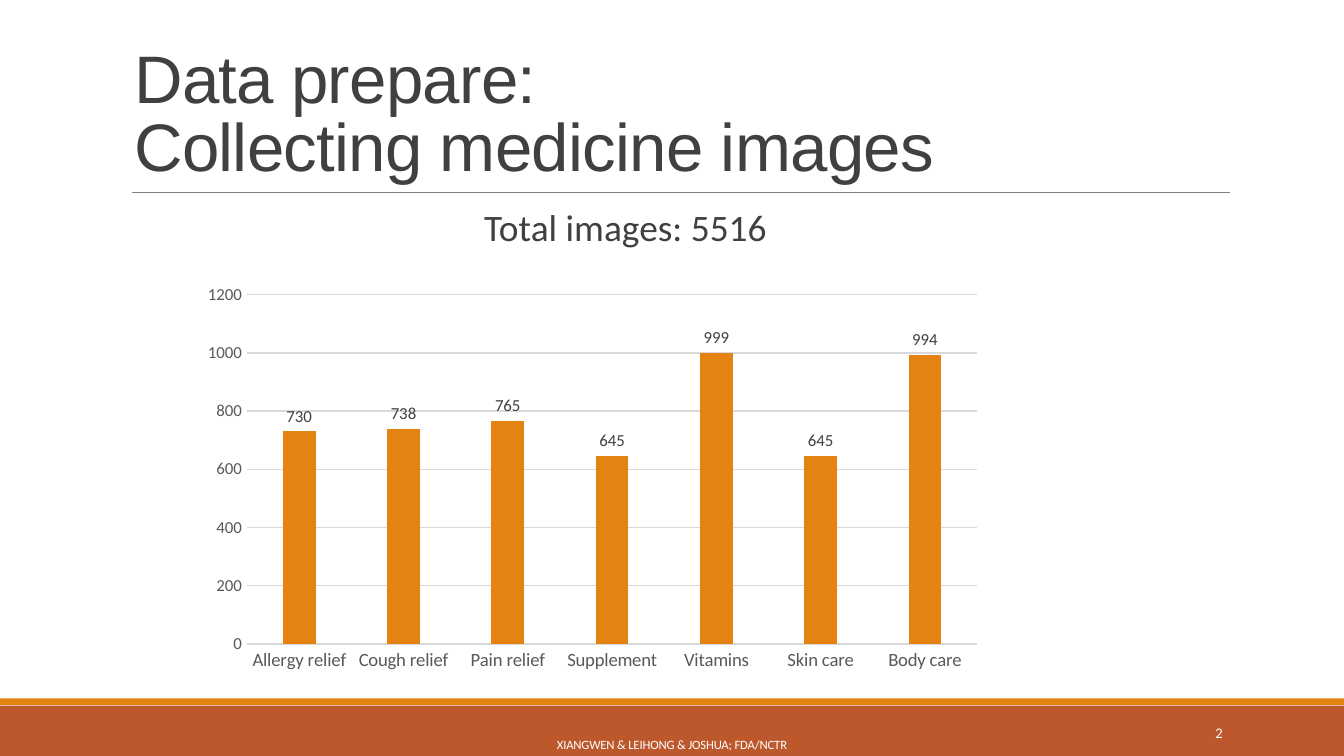
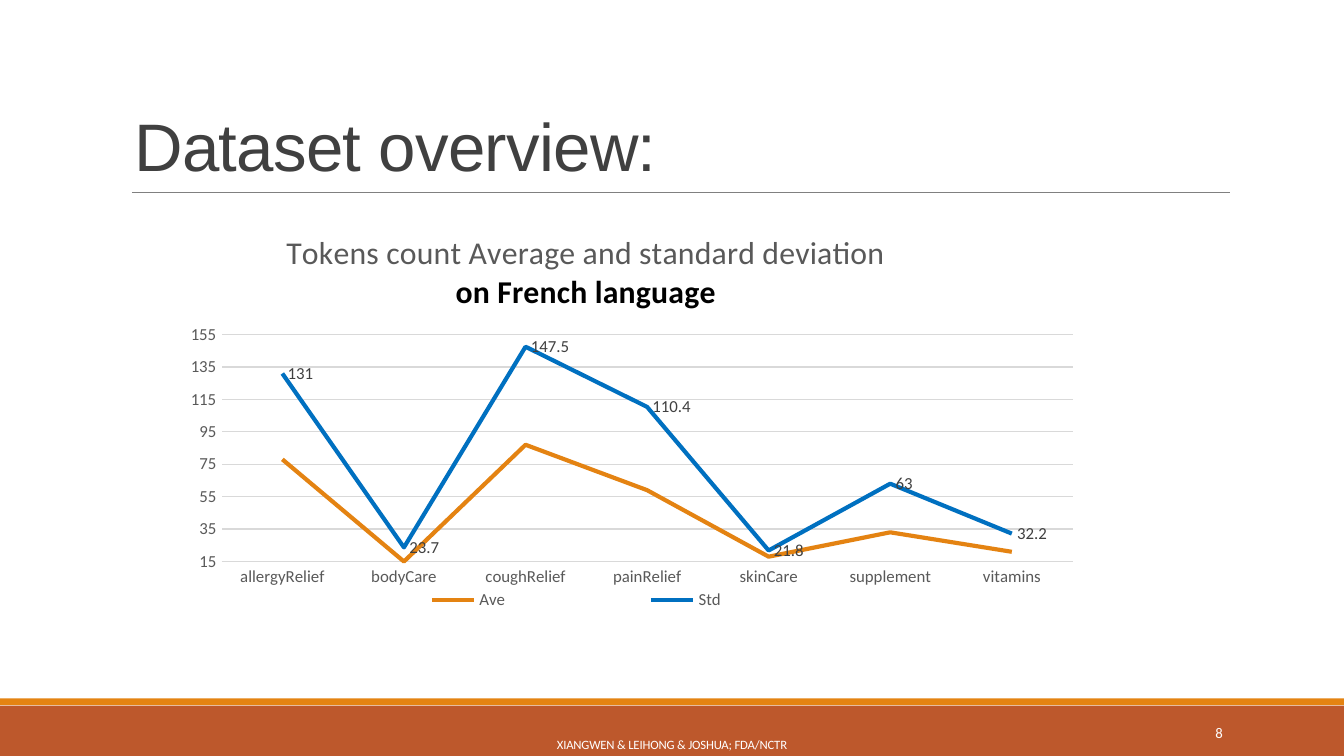
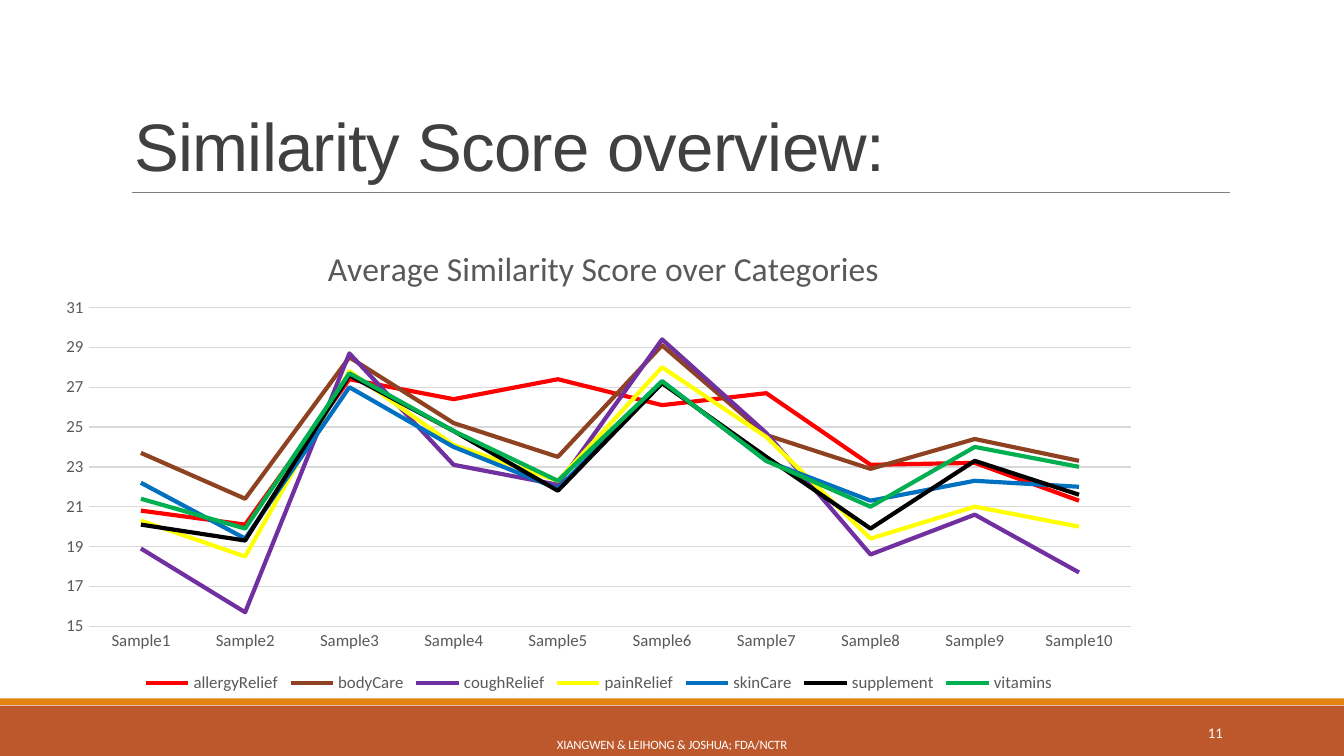
"""Build three slides on the medicine image dataset."""
from dataclasses import dataclass
from typing import NamedTuple, Optional

from pptx import Presentation
from pptx import util as u
from pptx.chart import data as chart_data
from pptx.dml import color
from pptx.enum import chart as charts, shapes, text
from pptx.oxml import parse_xml
from pptx.oxml import ns


class Frame(NamedTuple):
    """A place: centimetres on a slide, fractions inside a chart."""
    left: float
    top: float
    width: float = 0
    height: float = 0

    def lengths(self) -> list:
        return [u.Cm(value) for value in self]


@dataclass(frozen=True)
class Theme:
    """Colours, fonts and type sizes of the deck."""
    band: str = "BD582C"
    accent: str = "E48312"
    blue: str = "0070C0"
    rule: str = "808080"
    grid: str = "D9D9D9"
    dark: str = "404040"
    muted: str = "595959"
    black: str = "000000"
    white: str = "FFFFFF"
    heading_font: str = "Arial"
    body_font: str = "Calibri"
    title_size: float = 36
    body_size: float = 20
    chart_size: float = 10
    label_size: float = 9
    number_size: float = 7.9
    footer_size: float = 6.8


THEME = Theme()


@dataclass(frozen=True)
class TextStyle:
    """Type and paragraph settings of a text box."""
    size: float
    ink: str
    font: str = THEME.body_font
    align: text.PP_ALIGN = text.PP_ALIGN.LEFT
    anchor: text.MSO_ANCHOR = text.MSO_ANCHOR.MIDDLE
    line_spacing: Optional[float] = None
    tracking: int = 0


class Series(NamedTuple):
    """One run of chart values."""
    name: str
    values: tuple
    ink: str
    labelled: bool = False


class Scale(NamedTuple):
    """Range and step of a value axis."""
    low: float
    high: float
    step: float


class TitleLine(NamedTuple):
    """One line of a chart title."""
    wording: str
    ink: str = THEME.muted
    bold: bool = False


@dataclass(frozen=True)
class ChartPlan:
    """Data and arrangement of one chart."""
    frame: Frame
    categories: tuple
    series: tuple
    scale: Scale
    plot: Frame
    kind: charts.XL_CHART_TYPE = charts.XL_CHART_TYPE.LINE
    category_size: float = THEME.label_size
    title: tuple = ()
    title_size: float = 18
    title_place: Frame = Frame(0, 0)
    legend: Optional[Frame] = None


@dataclass(frozen=True)
class SlidePlan:
    """Heading, number and content of one slide."""
    heading: str
    number: int
    chart: ChartPlan
    note: str = ""


TITLE = TextStyle(THEME.title_size, THEME.dark, THEME.heading_font,
                  anchor=text.MSO_ANCHOR.BOTTOM, line_spacing=0.85, tracking=-40)
FOOTER = TextStyle(THEME.footer_size, THEME.white, align=text.PP_ALIGN.CENTER,
                   line_spacing=u.Pt(20.9), tracking=-10)
NUMBER = TextStyle(THEME.number_size, THEME.white, align=text.PP_ALIGN.RIGHT)
NOTE = TextStyle(THEME.body_size, THEME.dark, anchor=text.MSO_ANCHOR.TOP, line_spacing=0.9)

PAGE_SIZE = Frame(0, 0, 25.4, 14.29)
BANDS = ((Frame(0, 13.34, 25.4, 0.95), THEME.band),
         (Frame(0, 13.2, 25.4, 0.13), THEME.accent))
RULE = Frame(2.49, 3.63, 20.75)
TITLE_FRAME = Frame(2.29, 0.61, 20.96, 3.02)
FOOTER_FRAME = Frame(7.67, 13.46, 10.06, 0.76)
NUMBER_FRAME = Frame(20.62, 13.46, 2.74, 0.76)
NOTE_FRAME = Frame(2.29, 3.84, 20.96, 8.38)
NOTE_INDENT = 6.86
FOOTER_TEXT = "XIANGWEN & LEIHONG & JOSHUA; FDA/NCTR"

SLIDES = (
    SlidePlan(
        "Data prepare:\vCollecting medicine images", 2, note="Total images: 5516",
        chart=ChartPlan(
            Frame(3.61, 5.23, 15.16, 7.59),
            ("Allergy relief", "Cough relief", "Pain relief", "Supplement",
             "Vitamins", "Skin care", "Body care"),
            (Series("Series 1", (730, 738, 765, 645, 999, 645, 994), THEME.accent, True),),
            Scale(0, 1200, 200), Frame(0.07, 0.045, 0.91, 0.87),
            kind=charts.XL_CHART_TYPE.COLUMN_CLUSTERED, category_size=THEME.chart_size)),
    SlidePlan(
        "Dataset overview:", 8,
        ChartPlan(
            Frame(3.25, 3.96, 17.37, 8.05),
            ("allergyRelief", "bodyCare", "coughRelief", "painRelief",
             "skinCare", "supplement", "vitamins"),
            (Series("Ave", (78, 15, 87, 59, 18, 33, 21), THEME.accent),
             Series("Std", (131, 23.7, 147.5, 110.4, 21.8, 63, 32.2), THEME.blue, True)),
            Scale(15, 155, 20), Frame(0.054, 0.294, 0.926, 0.533),
            title=(TitleLine("Tokens count Average and standard deviation"),
                   TitleLine("on French language", THEME.black, True)),
            title_size=17, title_place=Frame(0.12, 0.04),
            legend=Frame(0.13, 0.885, 0.62, 0.065))),
    SlidePlan(
        "Similarity Score overview:", 11,
        ChartPlan(
            Frame(0.84, 3.96, 20.96, 9.27),
            tuple(f"Sample{index}" for index in range(1, 11)),
            (Series("allergyRelief",
                    (20.8, 20.1, 27.4, 26.4, 27.4, 26.1, 26.7, 23.1, 23.2, 21.3), "FF0000"),
             Series("bodyCare",
                    (23.7, 21.4, 28.5, 25.2, 23.5, 29.1, 24.6, 22.9, 24.4, 23.3), "8E4221"),
             Series("coughRelief",
                    (18.9, 15.7, 28.7, 23.1, 22.1, 29.4, 24.7, 18.6, 20.6, 17.7), "7030A0"),
             Series("painRelief",
                    (20.3, 18.5, 27.8, 24.1, 22.3, 28, 24.5, 19.4, 21, 20), "FFFF00"),
             Series("skinCare",
                    (22.2, 19.4, 27, 24, 21.9, 27.3, 23.3, 21.3, 22.3, 22), THEME.blue),
             Series("supplement",
                    (20.1, 19.3, 27.6, 24.8, 21.8, 27.2, 23.5, 19.9, 23.3, 21.6), THEME.black),
             Series("vitamins",
                    (21.4, 19.9, 27.7, 24.8, 22.3, 27.3, 23.3, 21, 24, 23), "00B050")),
            Scale(15, 31, 2), Frame(0.04, 0.2, 0.94, 0.65),
            title=(TitleLine("Average Similarity Score over Categories"),),
            title_place=Frame(0.25, 0.06), legend=Frame(0.085, 0.94, 0.83, 0.06))),
)


def rgb(ink: str) -> color.RGBColor:
    """Turn a hex string into a colour."""
    return color.RGBColor.from_string(ink)


def set_font(font, size: float, ink: str, name: str = THEME.body_font, bold: bool = False) -> None:
    """Set the face, size, weight and colour of a font."""
    font.name, font.size, font.bold = name, u.Pt(size), bold
    font.color.rgb = rgb(ink)


def set_line(line, ink: str, width: float) -> None:
    """Set the colour and width of a line."""
    line.color.rgb = rgb(ink)
    line.width = u.Pt(width)


def add_text(page, frame: Frame, wording: str, style: TextStyle):
    """Add a one-paragraph text box and return its text frame."""
    box = page.shapes.add_textbox(*frame.lengths()).text_frame
    box.word_wrap = True
    box.vertical_anchor = style.anchor
    para = box.paragraphs[0]
    para.text = wording
    para.alignment = style.align
    para.line_spacing = style.line_spacing
    set_font(para.font, style.size, style.ink, style.font)
    if style.tracking:
        para._p.get_or_add_pPr().get_or_add_defRPr().set("spc", str(style.tracking))
    return box


def add_furniture(page, plan: SlidePlan) -> None:
    """Draw the bands, rule, heading, footer and number."""
    for frame, ink in BANDS:
        band = page.shapes.add_shape(shapes.MSO_SHAPE.RECTANGLE, *frame.lengths())
        band.shadow.inherit = False
        band.fill.solid()
        band.fill.fore_color.rgb = rgb(ink)
        band.line.fill.background()
    left, top, width, _ = RULE.lengths()
    rule = page.shapes.add_connector(shapes.MSO_CONNECTOR.STRAIGHT, left, top, left + width, top)
    set_line(rule.line, THEME.rule, 0.5)
    rule._element.spPr.append(parse_xml(f"<a:effectLst {ns.nsdecls('a')}/>"))
    add_text(page, TITLE_FRAME, plan.heading, TITLE)
    add_text(page, FOOTER_FRAME, FOOTER_TEXT, FOOTER)
    add_text(page, NUMBER_FRAME, str(plan.number), NUMBER)


def place(part, frame: Frame, position: int, inner: bool = False) -> None:
    """Give a chart part a manual layout as its child at the position."""
    for old in part.findall(ns.qn("c:layout")):
        part.remove(old)
    target = '<c:layoutTarget val="inner"/>' if inner else ""
    modes = '<c:xMode val="edge"/><c:yMode val="edge"/>'
    values = "".join(f'<c:{key} val="{value}"/>' for key, value in zip("xywh", frame) if value)
    part.insert(position, parse_xml(
        f"<c:layout {ns.nsdecls('c')}><c:manualLayout>{target}{modes}{values}"
        "</c:manualLayout></c:layout>"))


def style_axes(chart, plan: ChartPlan) -> None:
    """Style both axes and the gridlines."""
    category, value = chart.category_axis, chart.value_axis
    for axis, size in ((category, plan.category_size), (value, THEME.label_size)):
        axis.major_tick_mark = axis.minor_tick_mark = charts.XL_TICK_MARK.NONE
        set_font(axis.tick_labels.font, size, THEME.muted)
    set_line(category.format.line, THEME.grid, 0.75)
    value.format.line.fill.background()
    value.has_major_gridlines = True
    set_line(value.major_gridlines.format.line, THEME.grid, 0.75)
    value.minimum_scale, value.maximum_scale, value.major_unit = plan.scale


def style_series(chart, plan: ChartPlan) -> None:
    """Colour the series and label those that ask for it."""
    is_line = plan.kind == charts.XL_CHART_TYPE.LINE
    for series, item in zip(chart.plots[0].series, plan.series):
        if is_line:
            series.smooth = False
            set_line(series.format.line, item.ink, 2.25)
        else:
            series.format.fill.solid()
            series.format.fill.fore_color.rgb = rgb(item.ink)
        if item.labelled:
            labels = series.data_labels
            labels.show_value = True
            set_font(labels.font, THEME.label_size, THEME.dark)
            spot = charts.XL_LABEL_POSITION
            labels.position = spot.RIGHT if is_line else spot.OUTSIDE_END


def add_chart_title(chart, plan: ChartPlan) -> None:
    """Write the lines of the chart title."""
    box = chart.chart_title.text_frame
    for index, line in enumerate(plan.title):
        para = box.add_paragraph() if index else box.paragraphs[0]
        para.text = line.wording
        para.alignment = text.PP_ALIGN.CENTER
        set_font(para.font, plan.title_size, line.ink, bold=line.bold)
    place(chart.chart_title._element, plan.title_place, 1)


def add_chart(page, plan: ChartPlan) -> None:
    """Add a styled chart."""
    table = chart_data.CategoryChartData()
    table.categories = plan.categories
    for item in plan.series:
        table.add_series(item.name, item.values)
    chart = page.shapes.add_chart(plan.kind, *plan.frame.lengths(), table).chart
    set_font(chart.font, THEME.chart_size, THEME.black)
    chart.plots[0].vary_by_categories = False
    if plan.kind == charts.XL_CHART_TYPE.COLUMN_CLUSTERED:
        chart.plots[0].gap_width, chart.plots[0].overlap = 219, -27
    style_axes(chart, plan)
    style_series(chart, plan)
    place(chart._chartSpace.chart.plotArea, plan.plot, 0, inner=True)
    chart.has_title = bool(plan.title)
    if plan.title:
        add_chart_title(chart, plan)
    chart.has_legend = plan.legend is not None
    if plan.legend:
        chart.legend.position = charts.XL_LEGEND_POSITION.BOTTOM
        chart.legend.include_in_layout = False
        set_font(chart.legend.font, THEME.label_size, THEME.muted)
        place(chart.legend._element, plan.legend, 1)


def main() -> None:
    """Build and save the deck."""
    deck = Presentation()
    _, _, deck.slide_width, deck.slide_height = PAGE_SIZE.lengths()
    for plan in SLIDES:
        page = deck.slides.add_slide(deck.slide_layouts[6])
        add_furniture(page, plan)
        if plan.note:
            note = add_text(page, NOTE_FRAME, plan.note, NOTE)
            note.margin_left, note.margin_right = u.Cm(NOTE_INDENT), 0
        add_chart(page, plan.chart)
    deck.save("out.pptx")


if __name__ == "__main__":
    main()
